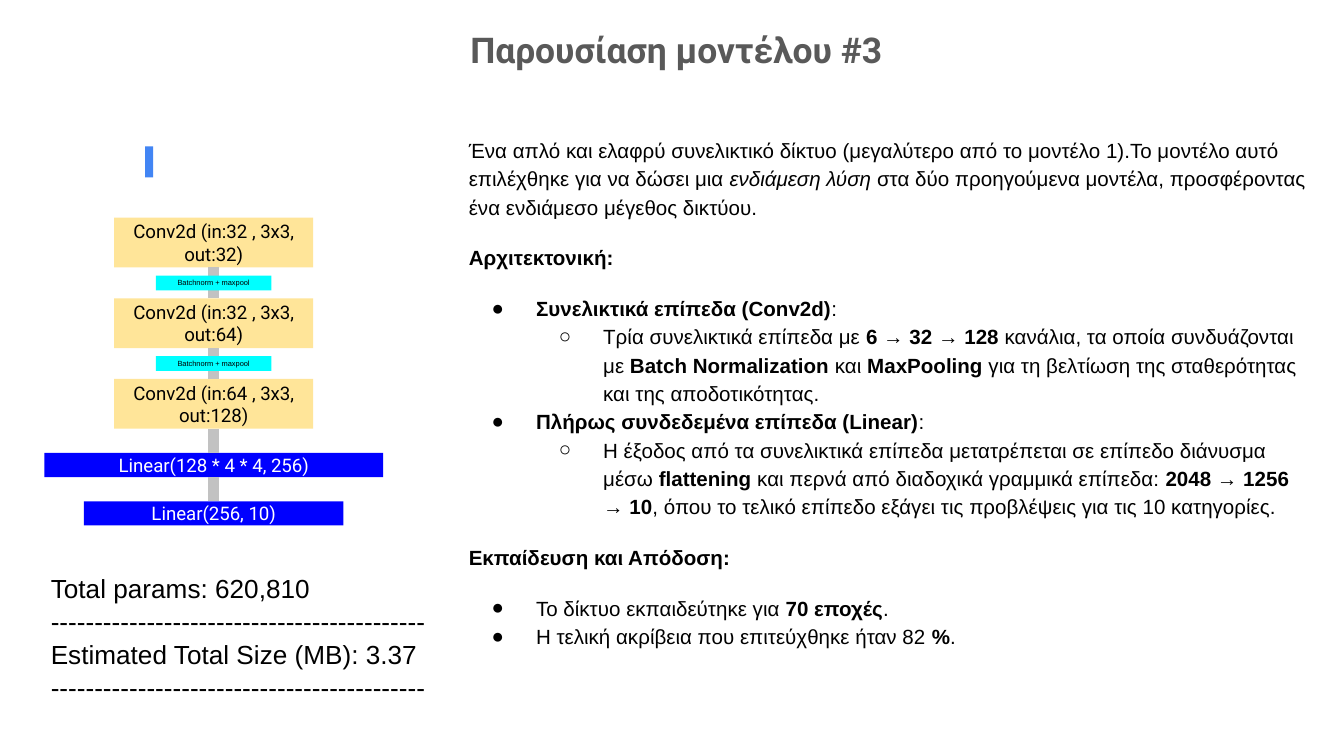
from lxml import etree
from pptx import Presentation
from pptx.dml.color import RGBColor
from pptx.enum.shapes import MSO_CONNECTOR, MSO_SHAPE
from pptx.enum.text import MSO_ANCHOR, PP_ALIGN
from pptx.oxml.ns import qn
from pptx.util import Inches, Pt

RECT, ROUND = MSO_SHAPE.RECTANGLE, MSO_SHAPE.ROUNDED_RECTANGLE
STRAIGHT = MSO_CONNECTOR.STRAIGHT
TOP, MIDDLE = MSO_ANCHOR.TOP, MSO_ANCHOR.MIDDLE
LEFT, CENTER = PP_ALIGN.LEFT, PP_ALIGN.CENTER
TOP_SITE, BOTTOM_SITE = 0, 2

# Content: *bold*, _italic_
TITLE = " Παρουσίαση μοντέλου #3"
BODY = [  # (bullet level or None, space before, text)
    (None, 12, "Ένα απλό και ελαφρύ συνελικτικό δίκτυο (μεγαλύτερο από το μοντέλο 1).Το μοντέλο "
               "αυτό επιλέχθηκε για να δώσει μια _ενδιάμεση λύση _στα δύο προηγούμενα μοντέλα, "
               "προσφέροντας ένα ενδιάμεσο μέγεθος δικτύου."),
    (None, 12, "*Αρχιτεκτονική:*"),
    (0, 12, "*Συνελικτικά επίπεδα (Conv2d)*:"),
    (1, 0, "Τρία συνελικτικά επίπεδα με *6 → 32 → 128* κανάλια, τα οποία συνδυάζονται με "
           "*Batch Normalization* και *MaxPooling* για τη βελτίωση της σταθερότητας και της "
           "αποδοτικότητας."),
    (0, 0, "*Πλήρως συνδεδεμένα επίπεδα (Linear)*:"),
    (1, 0, "Η έξοδος από τα συνελικτικά επίπεδα μετατρέπεται σε επίπεδο διάνυσμα μέσω "
           "*flattening* και περνά από διαδοχικά γραμμικά επίπεδα: *2048 → 1256 → 10*, όπου το "
           "τελικό επίπεδο εξάγει τις προβλέψεις για τις 10 κατηγορίες."),
    (None, 12, "*Εκπαίδευση και Απόδοση:*"),
    (0, 12, "Το δίκτυο εκπαιδεύτηκε για *70 εποχές*."),
    (0, 0, "Η τελική ακρίβεια που επιτεύχθηκε ήταν 82 *%*."),
]
RULE = "-" * 43
TOTALS = ["Total params: 620,810", RULE, "Estimated Total Size (MB): 3.37", RULE]
LAYERS = [  # (kind, text, width in cells, badge below)
    ("conv", "Conv2d (in:32 , 3x3, out:32)", 14.8, "Batchnorm + maxpool"),
    ("conv", "Conv2d (in:32 , 3x3, out:64)", 14.8, "Batchnorm + maxpool"),
    ("conv", "Conv2d (in:64 , 3x3, out:128)", 14.8, None),
    ("linear", "Linear(128 * 4 * 4, 256)", 25.2, None),
    ("linear", "Linear(256, 10)", 19.3, None),
]

THEME = {  # font, size, colour of text; fills
    "title": ("Roboto", 19, "595959"),
    "body": ("Arial", 11, "000000"),
    "totals": ("Arial", 14, "000000"),
    "conv": ("Roboto", 10, "000000"),
    "linear": ("Roboto", 10, "FFFFFF"),
    "badge": ("Arial", 4, "000000"),
    "fill": {"conv": "FFE599", "linear": "0000FF", "badge": "00FFFF",
             "marker": "4285F4", "link": "C2C2C2"},
}

# Grid: 100 columns of square cells
COLS, ROWS = 100, 56.25
AXIS, STACK_TOP = 15.9, 16.2
HEIGHT = {"conv": 3.7, "linear": 1.8}
BADGE_GAP, PLAIN_GAP = 2.3, 1.8
BADGE_W, BADGE_H = 8.6, 1.1
BULLETS = "●○"

prs = Presentation()
prs.slide_width = Inches(10)
CELL = prs.slide_width / COLS
prs.slide_height = round(ROWS * CELL)
s = prs.slides.add_slide(prs.slide_layouts[6])


def cells(*values):
    return [round(v * CELL) for v in values]


def style(p, role, align=LEFT):
    p.alignment = align
    name, size, color = THEME[role]
    for r in p.runs:
        r.font.name, r.font.size = name, Pt(size)
        r.font.color.rgb = RGBColor.from_string(color)


def set_frame(sp, anchor):
    tf = sp.text_frame
    tf.word_wrap, tf.vertical_anchor = True, anchor
    tf.margin_left = tf.margin_right = tf.margin_top = tf.margin_bottom = Inches(0.1)
    return tf


def add_text(box, role, text, anchor=TOP, align=LEFT):
    tf = set_frame(s.shapes.add_textbox(*cells(*box)), anchor)
    tf.text = text
    for p in tf.paragraphs:
        style(p, role, align)
    return tf


def add_block(shape, box, kind, text=None):
    sp = s.shapes.add_shape(shape, *cells(*box))
    sp.shadow.inherit = False
    sp.fill.solid()
    sp.fill.fore_color.rgb = RGBColor.from_string(THEME["fill"][kind])
    sp.line.fill.background()
    if shape == ROUND:
        sp.adjustments[0] = 0
    if text:
        tf = set_frame(sp, MIDDLE)
        tf.text = text
        style(tf.paragraphs[0], kind, CENTER)
    return sp


def add_link(upper, lower):
    cxn = s.shapes.add_connector(STRAIGHT, 0, 0, 0, 0)
    cxn.begin_connect(upper, BOTTOM_SITE)
    cxn.end_connect(lower, TOP_SITE)
    cxn.line.width = Pt(6)
    cxn.line.color.rgb = RGBColor.from_string(THEME["fill"]["link"])
    etree.SubElement(cxn._element.spPr, qn("a:effectLst"))


def add_rich_runs(p, text):
    for i, strong in enumerate(text.split("*")):
        for j, part in enumerate(strong.split("_")):
            if part:
                r = p.add_run()
                r.text = part
                r.font.bold, r.font.italic = i % 2 == 1, j % 2 == 1


def set_bullet(p, level):
    p.level = level
    pPr = p._p.get_or_add_pPr()
    pPr.set("marL", str(Inches(0.5 * (level + 1))))
    pPr.set("indent", str(-Inches(0.33)))
    color = etree.SubElement(pPr, qn("a:buClr"))
    etree.SubElement(color, qn("a:srgbClr"), val=THEME["body"][2])
    etree.SubElement(pPr, qn("a:buFont"), typeface=THEME["body"][0])
    etree.SubElement(pPr, qn("a:buChar"), char=BULLETS[level])


add_block(RECT, (10.8, 10.9, 0.6, 2.3), "marker")

tf = add_text((22.9, 1.6, 54.2, 4.1), "title", TITLE, MIDDLE, CENTER)
tf.paragraphs[0].runs[0].font.bold = True

tf = set_frame(s.shapes.add_textbox(*cells(33.9, 9, 64.6, 45.9)), TOP)
for i, (level, before, text) in enumerate(BODY):
    p = tf.add_paragraph() if i else tf.paragraphs[0]
    add_rich_runs(p, text)
    style(p, "body")
    p.line_spacing, p.space_before = 1.15, Pt(before)
    if level is not None:
        set_bullet(p, level)

tf = add_text((2.8, 41.5, 30.4, 11.4), "totals", "\n".join(TOTALS))
for p in tf.paragraphs:
    p.line_spacing = 1.05

y, blocks, badges = STACK_TOP, [], []
for kind, text, width, badge in LAYERS:
    box = (AXIS - width / 2, y, width, HEIGHT[kind])
    blocks.append(add_block(ROUND, box, kind, text))
    y += HEIGHT[kind]
    gap = BADGE_GAP if badge else PLAIN_GAP
    if badge:
        badges.append((y + (gap - BADGE_H) / 2, badge))
    y += gap
for upper, lower in zip(blocks, blocks[1:]):
    add_link(upper, lower)
for top, text in badges:
    add_block(ROUND, (AXIS - BADGE_W / 2, top, BADGE_W, BADGE_H), "badge", text)

prs.save("out.pptx")
